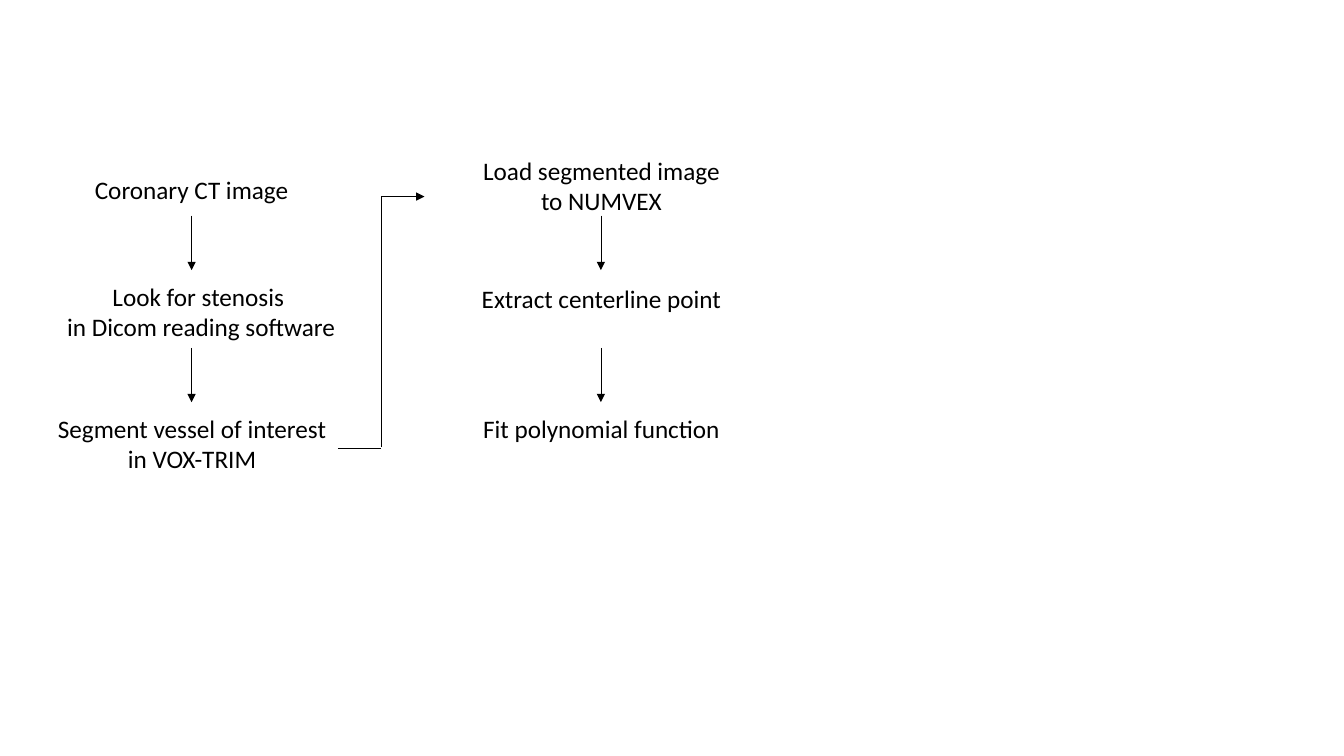
from pptx import Presentation
from pptx import util as u
from pptx.dml.color import RGBColor
from pptx.enum import shapes, text
from pptx.oxml.ns import qn
from lxml import etree

COLORS = {"ink": "000000"}
INK = RGBColor.from_string(COLORS["ink"])

prs = Presentation()
prs.slide_width, prs.slide_height = u.Inches(13.33), u.Inches(7.5)
s = prs.slides.add_slide(prs.slide_layouts[6])


def add_step(left, top, width, lines):
    height = 0.4 if len(lines) == 1 else 0.71
    sp = s.shapes.add_textbox(*[u.Inches(v) for v in (left, top, width, height)])
    tf = sp.text_frame
    tf.word_wrap = True
    tf.auto_size = text.MSO_AUTO_SIZE.SHAPE_TO_FIT_TEXT
    for i, line in enumerate(lines):
        p = tf.paragraphs[0] if i == 0 else tf.add_paragraph()
        p.alignment = text.PP_ALIGN.CENTER
        r = p.add_run()
        r.text = line
        r.font.size = u.Pt(18)
        r.font.name = "Calibri"
        r.font.color.rgb = INK


def add_line(x1, y1, x2, y2, arrow=True):
    cx = s.shapes.add_connector(shapes.MSO_CONNECTOR.STRAIGHT,
                                *[u.Inches(v) for v in (x1, y1, x2, y2)])
    cx.line.color.rgb = INK
    cx.line.width = u.Pt(0.5)
    if arrow:
        etree.SubElement(cx.line._get_or_add_ln(), qn("a:tailEnd"), type="triangle")
    etree.SubElement(cx._element.spPr, qn("a:effectLst"))


steps = [
    (0.61, 1.68, 2.58, ["Coronary CT image"]),
    (0.4, 2.74, 3.19, ["Look for stenosis ", "in Dicom reading software"]),
    (0.31, 4.05, 3.19, ["Segment vessel of interest", "in VOX-TRIM"]),
    (4.37, 1.49, 3.19, ["Load segmented image", "to NUMVEX"]),
    (4.37, 2.76, 3.19, ["Extract centerline point"]),
    (4.37, 4.05, 3.19, ["Fit polynomial function"]),
]
for step in steps:
    add_step(*step)

for column_x in (1.9, 5.96):
    for arrow_top in (2.14, 3.45):
        add_line(column_x, arrow_top, column_x, arrow_top + 0.54)

add_line(3.35, 4.45, 3.78, 4.45, arrow=False)
add_line(3.78, 4.43, 3.78, 1.95, arrow=False)
add_line(3.78, 1.95, 4.21, 1.95)

prs.save("out.pptx")
